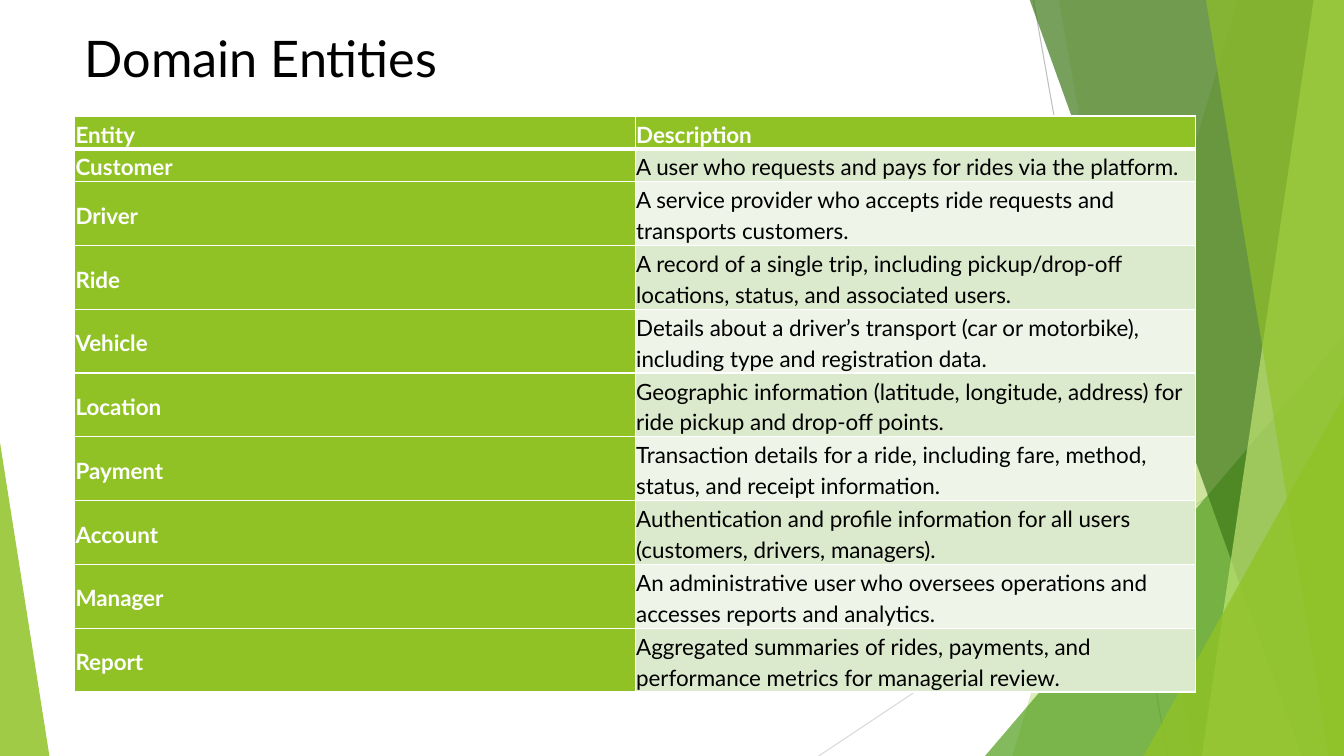
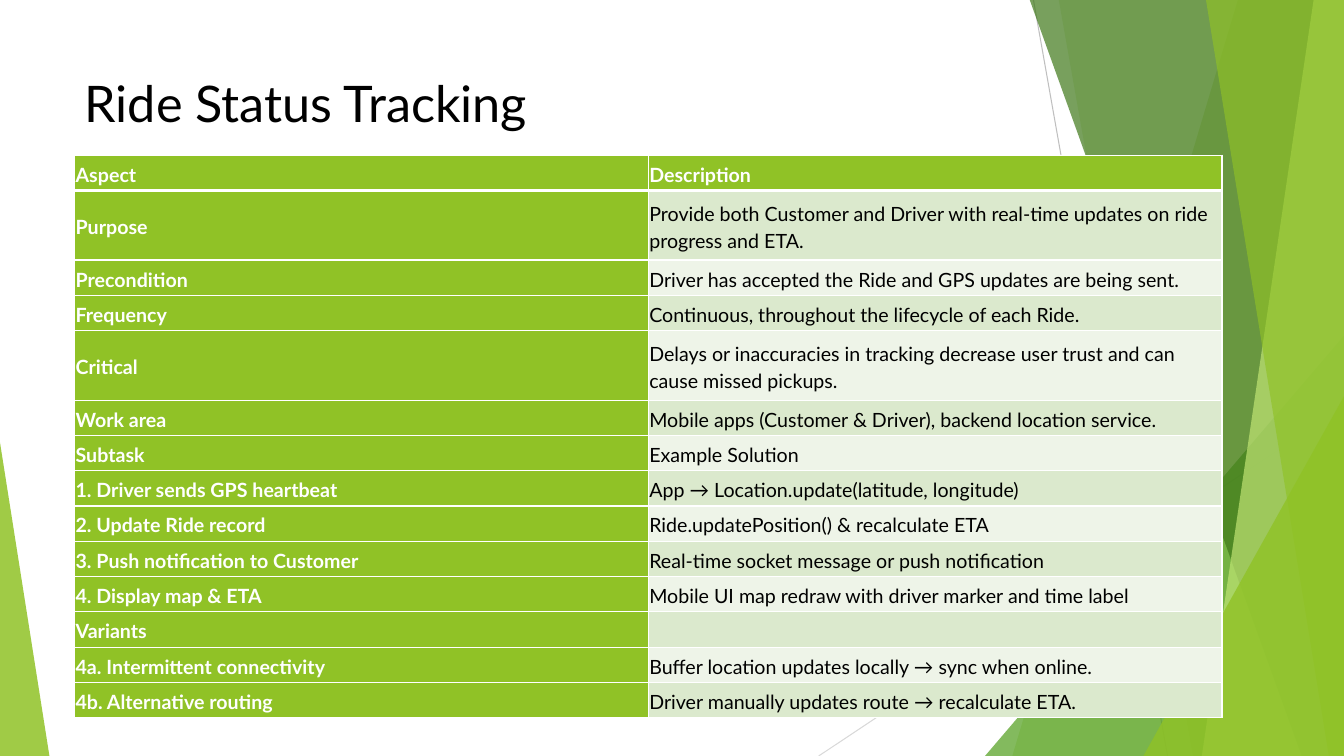
from lxml.etree import SubElement
from pptx import Presentation
from pptx.dml.color import RGBColor
from pptx.enum.shapes import MSO_CONNECTOR, MSO_SHAPE
from pptx.enum.text import MSO_ANCHOR
from pptx.oxml.ns import qn
from pptx.util import Inches, Pt

WHITE = RGBColor(0xFF, 0xFF, 0xFF)
BLACK = RGBColor(0x00, 0x00, 0x00)
LIME = RGBColor(0x90, 0xC2, 0x26)
GREEN = RGBColor(0x54, 0xA0, 0x21)
FOREST = RGBColor(0x3F, 0x78, 0x19)
PALE_LIME = RGBColor(0xC0, 0xE4, 0x74)
GRAY = RGBColor(0xBF, 0xBF, 0xBF)
LIGHT_GRAY = RGBColor(0xD9, 0xD9, 0xD9)
BANDS = (RGBColor(0xDB, 0xE9, 0xCD), RGBColor(0xEE, 0xF4, 0xE8))

FONT = "Lato"
WIDTH, HEIGHT = 13.33, 7.5
LEFT = 0.74

ENTITIES = [
    ("Entity", "Description"),
    ("Customer", "A user who requests and pays for rides via the platform."),
    ("Driver", "A service provider who accepts ride requests and transports customers."),
    ("Ride", "A record of a single trip, including pickup/drop-off locations, status, and associated users."),
    ("Vehicle", "Details about a driver’s transport (car or motorbike), including type and registration data."),
    ("Location", "Geographic information (latitude, longitude, address) for ride pickup and drop-off points."),
    ("Payment", "Transaction details for a ride, including fare, method, status, and receipt information."),
    ("Account", "Authentication and profile information for all users (customers, drivers, managers)."),
    ("Manager", "An administrative user who oversees operations and accesses reports and analytics."),
    ("Report", "Aggregated summaries of rides, payments, and performance metrics for managerial review."),
]

TRACKING = [
    ("Aspect", "Description"),
    ("Purpose", "Provide both Customer and Driver with real-time updates on ride progress and ETA."),
    ("Precondition", "Driver has accepted the Ride and GPS updates are being sent."),
    ("Frequency", "Continuous, throughout the lifecycle of each Ride."),
    ("Critical", "Delays or inaccuracies in tracking decrease user trust and can cause missed pickups."),
    ("Work area", "Mobile apps (Customer & Driver), backend location service."),
    ("Subtask", "Example Solution"),
    ("1. Driver sends GPS heartbeat", "App → Location.update(latitude, longitude)"),
    ("2. Update Ride record", "Ride.updatePosition() & recalculate ETA"),
    ("3. Push notification to Customer", "Real-time socket message or push notification"),
    ("4. Display map & ETA", "Mobile UI map redraw with driver marker and time label"),
    ("Variants", ""),
    ("4a. Intermittent connectivity", "Buffer location updates locally → sync when online."),
    ("4b. Alternative routing", "Driver manually updates route → recalculate ETA."),
]


def write(tf, text, size, color=BLACK, bold=False, spacing=None, after=None):
    tf.word_wrap = True
    p = tf.paragraphs[0]
    if spacing:
        p.line_spacing = spacing
    if after:
        p.space_after = Pt(after)
    r = p.add_run()
    r.text = text
    r.font.name = FONT
    r.font.size = Pt(size)
    r.font.bold = bold
    r.font.color.rgb = color


def paint(sp, color, opacity):
    sp.shadow.inherit = False
    sp.line.fill.background()
    sp.fill.solid()
    sp.fill.fore_color.rgb = color
    clr = sp.element.spPr.find(qn("a:solidFill")).find(qn("a:srgbClr"))
    SubElement(clr, qn("a:alpha"), val=str(opacity * 1000))


def add_line(s, x1, y1, x2, y2, color):
    line = s.shapes.add_connector(
        MSO_CONNECTOR.STRAIGHT, Inches(x1), Inches(y1), Inches(x2), Inches(y2))
    line.line.color.rgb = color
    line.line.width = Pt(0.75)
    SubElement(line.element.spPr, qn("a:effectLst"))


def add_facet(s, top_x, bottom_x, color, opacity):
    top = Inches(-0.01)
    right, bottom = Inches(WIDTH), Inches(HEIGHT)
    builder = s.shapes.build_freeform(Inches(top_x), top)
    builder.add_line_segments([(right, top), (right, bottom), (Inches(bottom_x), bottom)])
    paint(builder.convert_to_shape(), color, opacity)


def add_triangle(s, x, y, w, apex, color, opacity):
    sp = s.shapes.add_shape(
        MSO_SHAPE.ISOSCELES_TRIANGLE, Inches(x), Inches(y), Inches(w), Inches(HEIGHT - y))
    sp.adjustments[0] = apex
    paint(sp, color, opacity)


def add_backdrop(s):
    add_line(s, 10.25, 0, 11.58, HEIGHT, GRAY)
    add_line(s, WIDTH, 4.03, 8.12, HEIGHT, LIGHT_GRAY)
    add_facet(s, 12.28, 10.04, LIME, 30)
    add_facet(s, 10.5, 11.83, LIME, 20)
    add_triangle(s, 9.77, 3.33, 3.56, 1, GREEN, 72)
    add_facet(s, 10.21, 12.91, FOREST, 70)
    add_facet(s, 13.03, 11.92, PALE_LIME, 70)
    add_facet(s, 11.96, 13.18, LIME, 65)
    add_triangle(s, 11.34, 3.93, 1.99, 1, LIME, 80)
    add_triangle(s, 0, 4.39, 0.49, 0, LIME, 85)


def add_title(s, text, y):
    box = s.shapes.add_textbox(Inches(LEFT), Inches(y), Inches(9.4), Inches(1.44))
    write(box.text_frame, text, 36)


def set_borders(cell, top, bottom):
    tc_pr = cell._tc.get_or_add_tcPr()
    for side, width in (("L", 1), ("R", 1), ("T", top), ("B", bottom)):
        ln = SubElement(tc_pr, qn(f"a:ln{side}"), w=str(Pt(width)))
        fill = SubElement(ln, qn("a:solidFill"))
        SubElement(fill, qn("a:srgbClr"), val=str(WHITE))


def fill_cell(cell, text, row, col, size):
    accent = row == 0 or col == 0
    set_borders(cell, 3 if row == 1 else 1, 3 if row == 0 else 1)
    cell.fill.solid()
    cell.fill.fore_color.rgb = LIME if accent else BANDS[(row - 1) % 2]
    cell.vertical_anchor = MSO_ANCHOR.MIDDLE
    cell.margin_left = cell.margin_right = Inches(0.01)
    cell.margin_top = cell.margin_bottom = Inches(0.01)
    write(cell.text_frame, text, size, color=WHITE if accent else BLACK,
          bold=accent, spacing=1.15, after=8)


def add_grid(s, rows, y, col_width, row_height, tall_height, tall_rows, size):
    heights = [tall_height if i in tall_rows else row_height for i in range(len(rows))]
    frame = s.shapes.add_table(
        len(rows), 2, Inches(LEFT), Inches(y), Inches(2 * col_width), Inches(sum(heights)))
    table = frame.table
    table.first_row = table.horz_banding = False
    for column in table.columns:
        column.width = Inches(col_width)
    for i, texts in enumerate(rows):
        table.rows[i].height = Inches(heights[i])
        for j, text in enumerate(texts):
            fill_cell(table.cell(i, j), text, i, j, size)


def add_slide(prs, title, title_y):
    s = prs.slides.add_slide(prs.slide_layouts[6])
    add_backdrop(s)
    add_title(s, title, title_y)
    return s


def main():
    prs = Presentation()
    prs.slide_width, prs.slide_height = Inches(WIDTH), Inches(HEIGHT)
    s = add_slide(prs, "Domain Entities", 0.22)
    add_grid(s, ENTITIES, 1.15, 5.56, 0.32, 0.63, range(2, 10), 16)
    s = add_slide(prs, "Ride Status Tracking", 0.67)
    add_grid(s, TRACKING, 1.54, 5.69, 0.35, 0.69, (1, 4), 14)
    prs.save("out.pptx")


if __name__ == "__main__":
    main()
